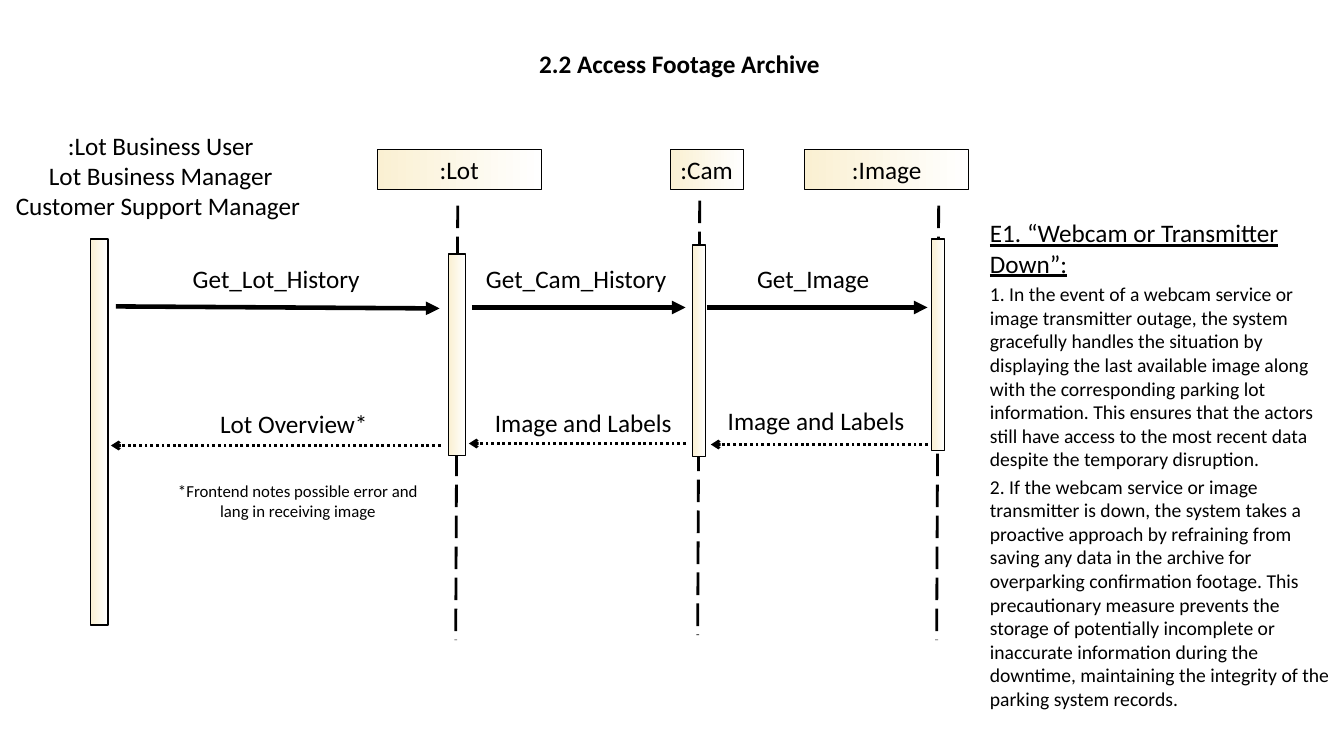
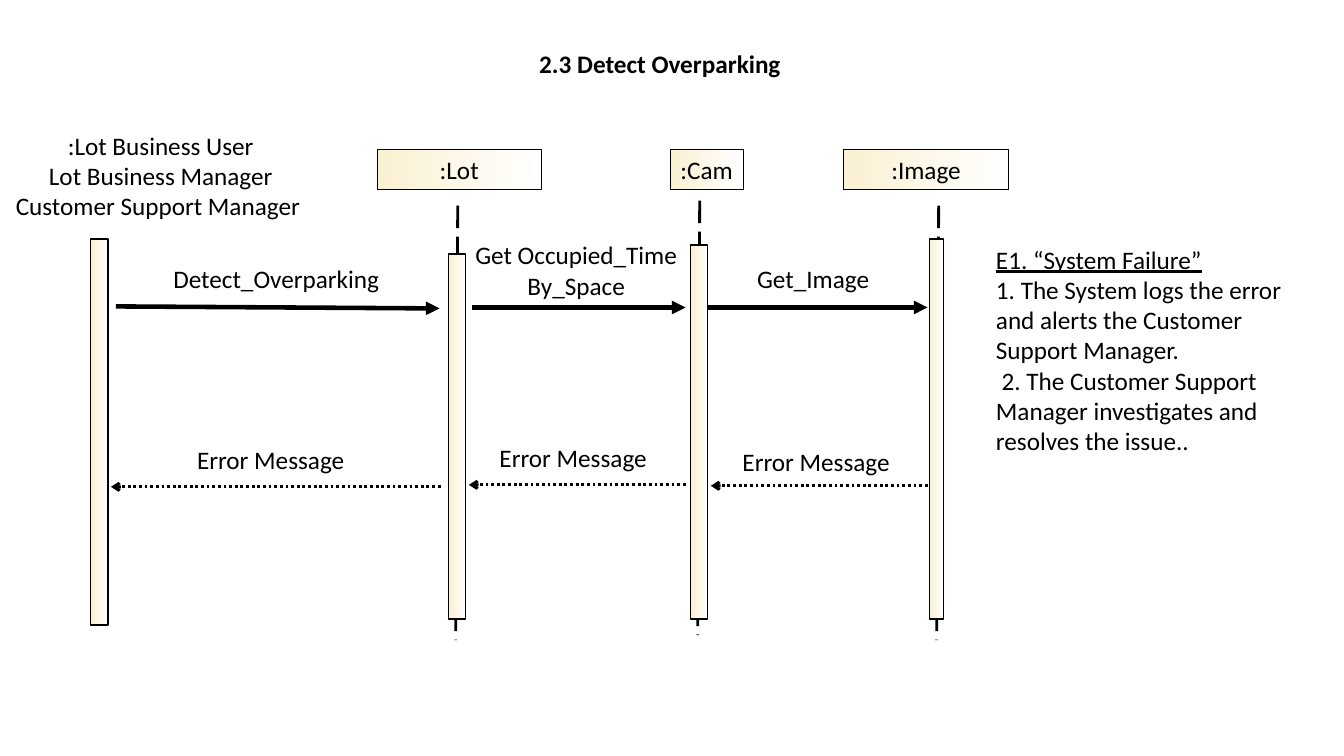
from lxml import etree
from pptx import Presentation
from pptx.dml.color import RGBColor
from pptx.enum import dml, shapes, text
from pptx.oxml.ns import qn
from pptx.util import Inches, Pt

INK = "000000"
CREAM = "FAF0D2"
WHITE = "FFFFFF"
FONT = "Calibri"
ACTORS = [":Lot Business User\nLot Business Manager", "Customer Support Manager "]
OUTAGE = [
    "E1. “Webcam or Transmitter Down”:",
    "1. In the event of a webcam service or image transmitter outage, the system "
    "gracefully handles the situation by displaying the last available image along "
    "with the corresponding parking lot information. This ensures that the actors "
    "still have access to the most recent data despite the temporary disruption.",
    "2. If the webcam service or image transmitter is down, the system takes a "
    "proactive approach by refraining from saving any data in the archive for "
    "overparking confirmation footage. This precautionary measure prevents the "
    "storage of potentially incomplete or inaccurate information during the "
    "downtime, maintaining the integrity of the parking system records.",
]
FAILURE = [
    "E1. “System Failure”\n1. The System logs the error and alerts the Customer "
    "Support Manager.",
    " 2. The Customer Support Manager investigates and resolves the issue..",
]


def color(code):
    """Turn a hex string into a colour."""
    return RGBColor.from_string(code)


def write(shape, lines, size=18, center=True, bold=False):
    """Fill a shape with paragraphs in the shared text style."""
    frame = shape.text_frame
    frame.word_wrap = True
    frame.auto_size = text.MSO_AUTO_SIZE.SHAPE_TO_FIT_TEXT
    frame.vertical_anchor = text.MSO_ANCHOR.TOP
    for i, line in enumerate(lines):
        para = frame.add_paragraph() if i else frame.paragraphs[0]
        para.text = line
        para.alignment = text.PP_ALIGN.CENTER if center else text.PP_ALIGN.LEFT
        for run in para.runs:
            run.font.name = FONT
            run.font.size = Pt(size)
            run.font.bold = bold
            run.font.color.rgb = color(INK)


def label(slide, box, lines, **style):
    """Add a text box and return its paragraphs."""
    shape = slide.shapes.add_textbox(*map(Inches, box))
    write(shape, lines, **style)
    return shape.text_frame.paragraphs


def block(slide, box, width=1):
    """Add an outlined rectangle that fades from cream to white."""
    shape = slide.shapes.add_shape(shapes.MSO_SHAPE.RECTANGLE, *map(Inches, box))
    shape.shadow.inherit = False
    shape.fill.gradient()
    shape.fill.gradient_angle = 0
    for stop, code, place in zip(shape.fill.gradient_stops, (CREAM, WHITE), (0, 1)):
        stop.color.rgb = color(code)
        stop.position = place
    shape.line.color.rgb = color(INK)
    shape.line.width = Pt(width)
    return shape


def line(slide, start, end, width=2, dash=None, head=None):
    """Add a straight line with an optional dash and arrowhead."""
    ends = map(Inches, (*start, *end))
    link = slide.shapes.add_connector(shapes.MSO_CONNECTOR.STRAIGHT, *ends)
    link.line.color.rgb = color(INK)
    link.line.width = Pt(width)
    if dash:
        link.line.dash_style = dash
    props = link._element.spPr
    if head:
        etree.SubElement(props.find(qn("a:ln")), qn("a:tailEnd"), type=head)
    etree.SubElement(props, qn("a:effectLst"))


def call(slide, start, end):
    """Draw a solid request arrow."""
    line(slide, start, end, 3.25, head="triangle")


def reply(slide, start, end):
    """Draw a dotted response arrow."""
    line(slide, start, end, dash=dml.MSO_LINE.ROUND_DOT, head="arrow")


def frame(slide, title, image, bars):
    """Draw the title, actors, objects and lifelines of a sequence."""
    for x, y in ((9.31, 2.04), (4.54, 2.04), (6.94, 1.99)):
        line(slide, (x, y), (x - 0.02, y + 4.31), dash=dml.MSO_LINE.LONG_DASH)
    label(slide, (5.25, 0.43, 3.34, 0.4), [title], center=False, bold=True)
    label(slide, (-0.07, 1.24, 3.33, 1.01), ACTORS)
    for name, x, wide in ((":Lot", 3.74, 1.63), (":Cam", 6.65, 0.72),
                          (":Image", image, 1.63)):
        head = block(slide, (x, 1.48, wide, 0.4), 0.75)
        write(head, [name], center=name != ":Cam")
    for bar in ((0.9, 2.37, 0.17, 3.83), *bars):
        block(slide, bar)


def flow(slide, base, calls, replies):
    """Draw the request and response arrows with their labels."""
    call(slide, (1.15, 3.04), (4.36, 3.06))
    call(slide, (4.68, 3.05), (6.8, 3.05))
    call(slide, (7.01, 3.05), (9.2, 3.05))
    reply(slide, (4.37, base + 0.02), (1.1, base + 0.02))
    reply(slide, (6.8, base), (4.65, base))
    reply(slide, (9.2, base + 0.01), (7.05, base + 0.01))
    for word, x, y, wide in calls + replies:
        label(slide, (x, y, wide, 0.4), [word])


def archive(slide):
    """Build the footage archive sequence."""
    frame(slide, "2.2 Access Footage Archive", 7.98,
          [(4.45, 2.52, 0.17, 2), (6.87, 2.43, 0.13, 2.1), (9.24, 2.37, 0.13, 2.1)])
    flow(slide, 4.4,
         [("Get_Lot_History", 1.2, 2.56, 3.08),
          ("Get_Cam_History", 4.58, 2.56, 2.27),
          ("Get_Image", 6.93, 2.56, 2.27)],
         [("Lot Overview*", 1.57, 4, 2.69),
          ("Image and Labels", 4.65, 3.99, 2.27),
          ("Image and Labels", 6.96, 3.97, 2.27)])
    paras = label(slide, (9.72, 2.11, 3.7, 5.03), OUTAGE, size=14, center=False)
    paras[0].runs[0].font.size = Pt(18)
    paras[0].runs[0].font.underline = True
    for para in paras[1:]:
        para.space_before = Pt(3)
    label(slide, (1.61, 4.72, 2.69, 0.5),
          ["*Frontend notes possible error and lang in receiving image"], size=12)


def detect(slide):
    """Build the overparking sequence."""
    frame(slide, "2.3 Detect Overparking", 8.37,
          [(4.45, 2.52, 0.17, 3.62), (6.85, 2.43, 0.17, 3.71),
           (9.22, 2.37, 0.14, 3.77)])
    flow(slide, 4.81,
         [("Detect_Overparking", 1.2, 2.56, 3.08),
          ("Get Occupied_Time By_Space", 4.58, 2.33, 2.27),
          ("Get_Image", 6.93, 2.56, 2.27)],
         [("Error Message", x, y, 2.27)
          for x, y in ((1.55, 4.36), (4.55, 4.34), (6.96, 4.38))])
    paras = label(slide, (9.78, 2.37, 3.4, 2.22), FAILURE, center=False)
    paras[0].runs[0].font.underline = True


def main():
    """Build and save the deck."""
    deck = Presentation()
    deck.slide_width, deck.slide_height = Inches(13.33), Inches(7.5)
    for build in (archive, detect):
        build(deck.slides.add_slide(deck.slide_layouts[6]))
    deck.save("out.pptx")


main()
